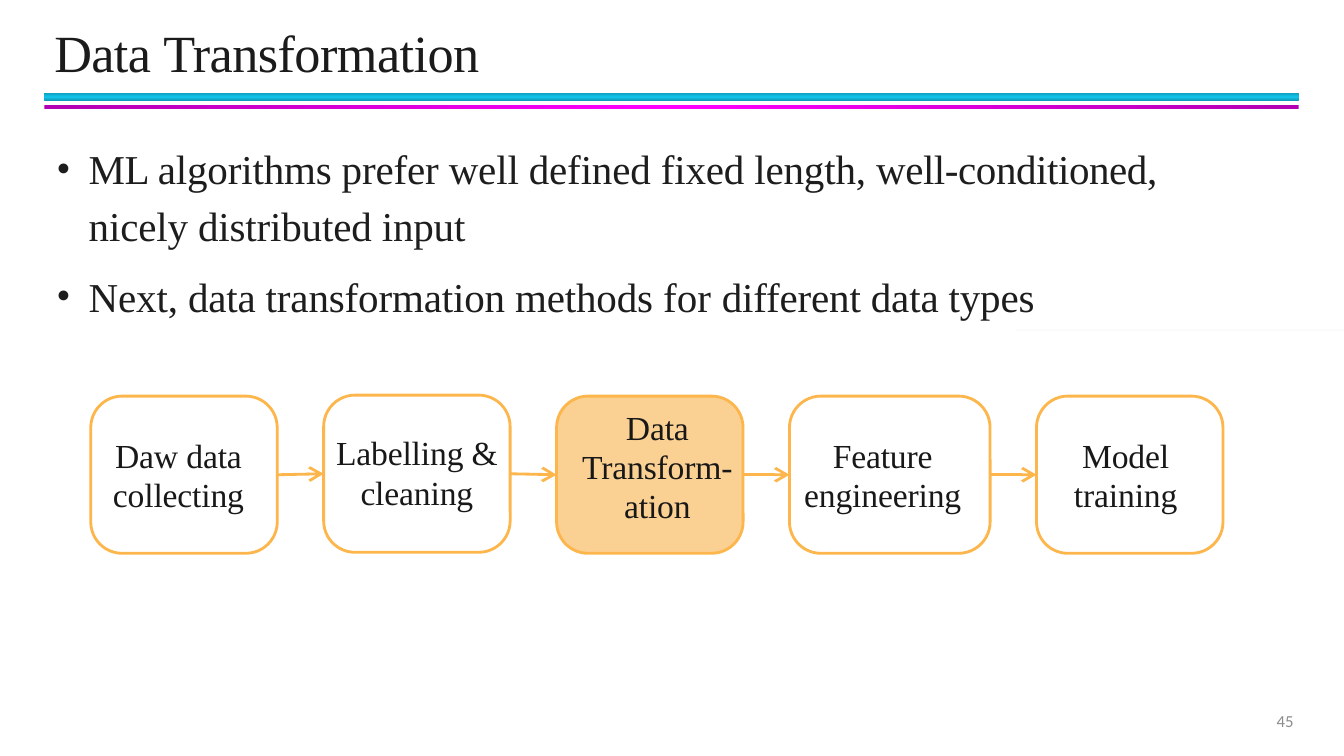
from lxml import etree
from pptx import Presentation
from pptx.dml.color import RGBColor
from pptx.enum.shapes import MSO_CONNECTOR, MSO_SHAPE
from pptx.enum.text import MSO_ANCHOR, PP_ALIGN
from pptx.oxml.ns import qn
from pptx.util import Inches, Pt

SERIF = "Times New Roman"
ORANGE = "FCB64C"
LEFT, RIGHT = 1, 3


def color(value):
    return RGBColor.from_string(value)


def add_node(parent, tag, **attributes):
    return etree.SubElement(parent, qn(tag), attributes)


def set_format(target, values):
    for name, value in values.items():
        setattr(target, name, value)


def add_run(paragraph, text, size, ink, spacing=0, font=SERIF):
    run = paragraph.add_run()
    run.text = text
    set_format(run.font, {"size": Pt(size), "name": font})
    run.font.color.rgb = color(ink)
    if spacing:
        run.font._element.set("spc", str(round(spacing * 100)))


def set_frame(frame, anchor, insets=(0, 0, 0, 0)):
    left, top, right, bottom = (Inches(inset) for inset in insets)
    set_format(frame, {
        "word_wrap": True, "vertical_anchor": anchor,
        "margin_left": left, "margin_top": top,
        "margin_right": right, "margin_bottom": bottom,
    })


def add_text_frame(slide, box, anchor, insets=(0, 0, 0, 0)):
    frame = slide.shapes.add_textbox(*(Inches(n) for n in box)).text_frame
    set_frame(frame, anchor, insets)
    return frame


def add_panel(slide, preset, box):
    panel = slide.shapes.add_shape(preset, *(Inches(n) for n in box))
    panel.shadow.inherit = False
    return panel


def add_band(slide, box, edge, middle, angle):
    band = add_panel(slide, MSO_SHAPE.RECTANGLE, box)
    band.line.fill.background()
    band.fill.gradient()
    band.fill.gradient_angle = angle
    stops = band._element.spPr.find(qn("a:gradFill")).find(qn("a:gsLst"))
    for stop in list(stops):
        stops.remove(stop)
    for position, shade in ((0, edge), (50, middle), (100, edge)):
        stop = add_node(stops, "a:gs", pos=str(position * 1000))
        add_node(stop, "a:srgbClr", val=shade)


def add_header(slide, box):
    left, top, width, _ = box
    add_band(slide, (left, top + 0.73, width, 0.08), "0E9BBA", "12C2E9", 90)
    add_band(slide, (left, top + 0.85, width, 0.04), "B200B2", "FF00FF", 0)
    title = add_text_frame(slide, (left + 0.08, top, 4.79, 0.65),
                           MSO_ANCHOR.MIDDLE, (0.02, 0, 0, 0))
    for text, spacing in (("Data ", -0.5), ("Transformation", -0.4)):
        add_run(title.paragraphs[0], text, 37.3, "1B1B1B", spacing)


def add_hairline(slide, box):
    hairline = add_panel(slide, MSO_SHAPE.RECTANGLE, box)
    hairline.line.fill.background()
    hairline.fill.solid()
    hairline.fill.fore_color.rgb = color("EEEEEE")
    shade = hairline._element.spPr.find(qn("a:solidFill"))[0]
    add_node(shade, "a:alpha", val="38000")


def add_points(slide, box):
    frame = add_text_frame(slide, box, MSO_ANCHOR.TOP, (0, 0.01, 0, 0))
    points = (
        ({"line_spacing": 1.14}, (
            ("ML ", -0.4),
            ("algorithms prefer well defined fixed length, ", -0.1),
            ("well-conditioned,", -0.3),
            ("\v", 0),
            ("nicely distributed input", -0.1))),
        ({"space_before": Pt(15.5)}, (
            ("Next, data transformation methods ", -0.1),
            ("for ", 0.1),
            ("different data types", -0.1))),
    )
    for index, (spacing, pieces) in enumerate(points):
        point = frame.add_paragraph() if index else frame.paragraphs[0]
        set_format(point, spacing)
        properties = point._p.get_or_add_pPr()
        properties.set("marL", str(Inches(0.34)))
        properties.set("indent", str(Inches(-0.32)))
        add_node(properties, "a:buFont", typeface=SERIF)
        add_node(properties, "a:buChar", char="•")
        for text, tracking in pieces:
            if text == "\v":
                point.add_line_break()
            else:
                add_run(point, text, 29.3, "1D1D1D", tracking)


def add_stage(slide, box, label, fill, insets):
    stage = add_panel(slide, MSO_SHAPE.ROUNDED_RECTANGLE, box)
    stage.adjustments[0] = 0.2
    stage.fill.solid()
    stage.fill.fore_color.rgb = color(fill)
    stage.line.color.rgb = color(ORANGE)
    stage.line.width = Pt(2)
    set_frame(stage.text_frame, MSO_ANCHOR.MIDDLE, insets)
    paragraph = stage.text_frame.paragraphs[0]
    set_format(paragraph, {"alignment": PP_ALIGN.CENTER, "line_spacing": Pt(28)})
    for index, line in enumerate(label.split("\n")):
        if index:
            paragraph.add_line_break()
        add_run(paragraph, line, 24, "181818", -0.1)
    return stage


def add_arrow(slide, source, target):
    arrow = slide.shapes.add_connector(MSO_CONNECTOR.STRAIGHT, 0, 0, 0, 0)
    arrow.begin_connect(source, RIGHT)
    arrow.end_connect(target, LEFT)
    arrow.line.color.rgb = color(ORANGE)
    arrow.line.width = Pt(2)
    add_node(arrow.line._get_or_add_ln(), "a:tailEnd",
             type="arrow", w="lg", len="lg")
    add_node(arrow._element.spPr, "a:effectLst")


def add_pipeline(slide, box):
    left, top, _, height = box
    gap = 0.46
    stages = (
        ("Daw data\ncollecting", 1.85, 0, "FFFFFF", (0, 0, 0.11, 0)),
        ("Labelling &\ncleaning", 1.85, -0.01, "FFFFFF", (0, 0, 0, 0.02)),
        ("Data\nTransform-\nation", 1.85, 0, "FBD093", (0.15, 0, 0, 0.16)),
        ("Feature\nengineering", 1.99, 0, "FFFFFF", (0, 0, 0.14, 0)),
        ("Model\ntraining", 1.85, 0, "FFFFFF", (0, 0, 0.08, 0)),
    )
    previous = None
    for label, width, shift, fill, insets in stages:
        stage = add_stage(slide, (left, top + shift, width, height),
                          label, fill, insets)
        if previous is not None:
            add_arrow(slide, previous, stage)
        previous = stage
        left += width + gap


def add_page_number(slide, box):
    paragraph = add_text_frame(slide, box, MSO_ANCHOR.MIDDLE).paragraphs[0]
    paragraph.alignment = PP_ALIGN.RIGHT
    add_run(paragraph, "45", 12, "8C8C8C", font="Calibri")


def main():
    deck = Presentation()
    set_format(deck, {"slide_width": Inches(13.33), "slide_height": Inches(7.5)})
    slide = deck.slides.add_slide(deck.slide_layouts[6])
    add_header(slide, (0.44, 0.19, 12.44, 0.89))
    add_hairline(slide, (10.07, 3.27, 3.26, 0.01))
    add_points(slide, (0.54, 1.35, 12.06, 1.85))
    add_pipeline(slide, (0.9, 3.93, 11.23, 1.56))
    add_page_number(slide, (9.83, 6.95, 3, 0.4))
    deck.save("out.pptx")


if __name__ == "__main__":
    main()
